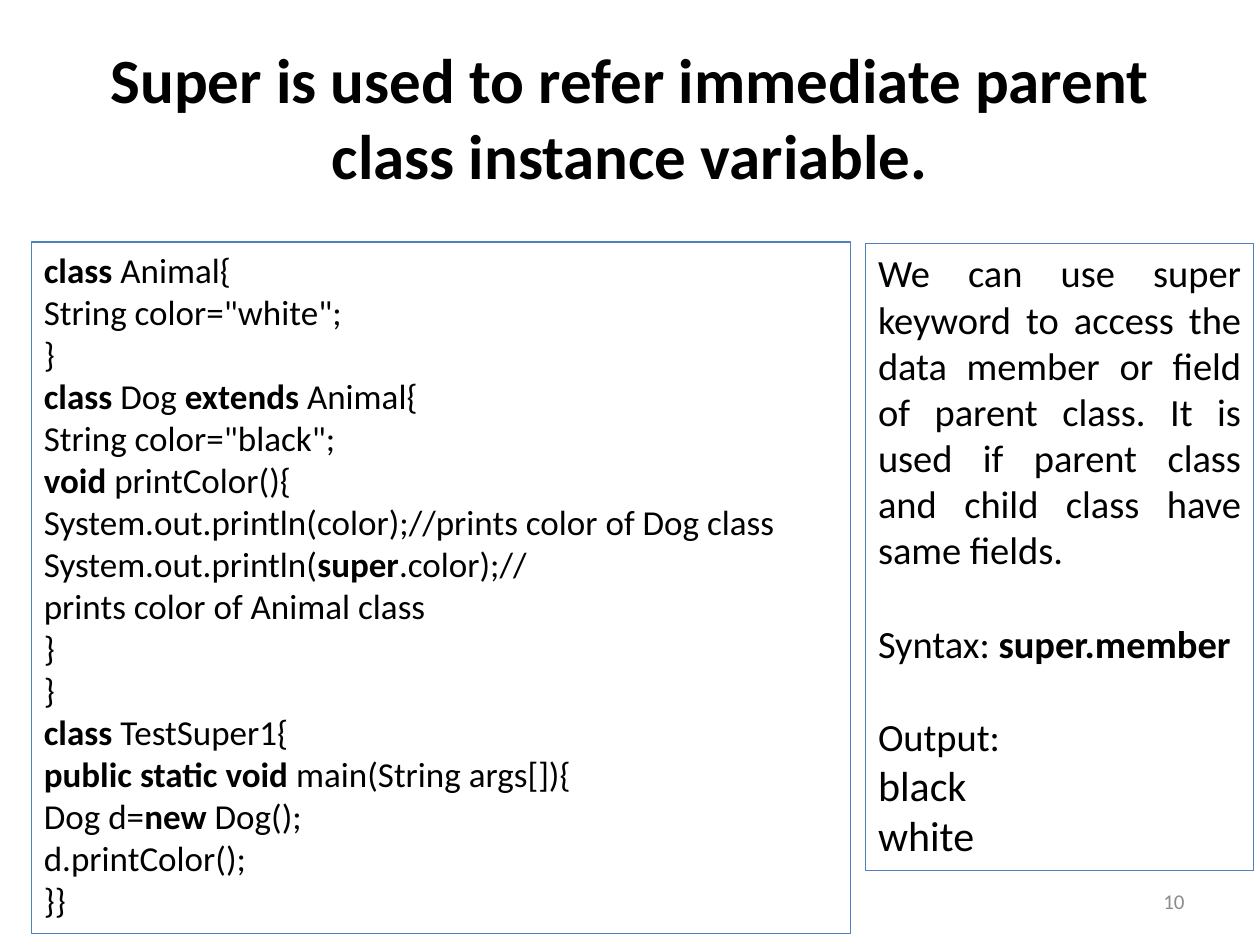
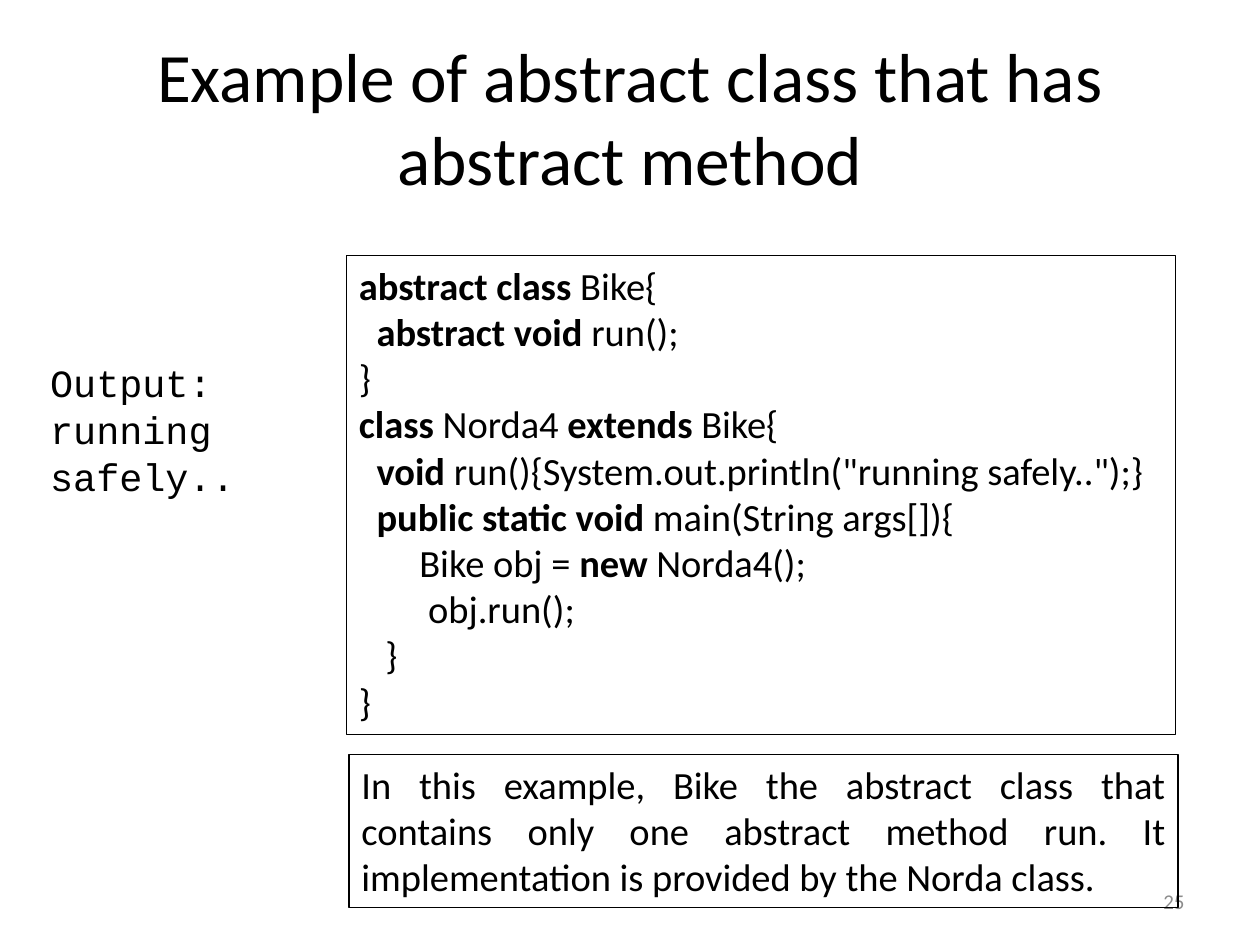
from dataclasses import dataclass

from pptx import Presentation
from pptx.dml.color import RGBColor
from pptx.enum.shapes import MSO_SHAPE
from pptx.enum.text import MSO_ANCHOR, MSO_AUTO_SIZE, PP_ALIGN
from pptx.util import Inches, Pt

RECTANGLE = MSO_SHAPE.RECTANGLE
TOP, MIDDLE = MSO_ANCHOR.TOP, MSO_ANCHOR.MIDDLE
FIT_TEXT, FIXED_SIZE = MSO_AUTO_SIZE.SHAPE_TO_FIT_TEXT, MSO_AUTO_SIZE.NONE
LEFT, CENTER, RIGHT, JUSTIFY = PP_ALIGN.LEFT, PP_ALIGN.CENTER, PP_ALIGN.RIGHT, PP_ALIGN.JUSTIFY


@dataclass(frozen=True)
class Theme:
    ink: RGBColor = RGBColor(0x00, 0x00, 0x00)
    blue: RGBColor = RGBColor(0x4F, 0x81, 0xBD)
    grey: RGBColor = RGBColor(0x8C, 0x8C, 0x8C)
    font: str = "Calibri"
    output_font: str = "Courier New"
    bold_title: float = 36
    title: float = 39.6
    result: float = 24
    body: float = 22
    code: float = 20
    number: float = 12
    body_line: float = 26.9
    border: float = 0.75


THEME = Theme()
TITLE_BOX = (0.5, 0.3, 9, 1.25)
NUMBER_BOX = (7.17, 6.95, 2.33, 0.4)

# In the texts below, ** switches bold on and off and ↵ breaks a line.
SUPER_CODE = """**class** Animal{
String color="white";
}
**class** Dog **extends** Animal{
String color="black";
**void** printColor(){
System.out.println(color);//prints color of Dog class
System.out.println(**super**.color);//↵prints color of Animal class
}
}
**class** TestSuper1{
**public static void** main(String args[]){
Dog d=**new** Dog();
d.printColor();
}}"""

# Each line of code with its indent in inches
ABSTRACT_CODE = [
    (0, "**abstract class** Bike{"),
    (0.14, "**abstract void** run();"),
    (0, "}"),
    (0, "**class** Norda4 **extends** Bike{"),
    (0.14, '**void** run(){System.out.println("running safely..");}'),
    (0.14, "**public static void** main(String args[]){"),
    (0.48, "Bike obj = **new** Norda4();"),
    (0.55, "obj.run();"),
    (0.21, "}"),
    (0, "}"),
]


def apply(target, values):
    for name, value in values.items():
        setattr(target, name, value)


def add_runs(paragraph, text, size, color, font):
    for index, piece in enumerate(text.split("**")):
        for line_index, line in enumerate(piece.split("↵")):
            if line_index:
                paragraph.add_line_break()
            if line:
                run = paragraph.add_run()
                run.text = line
                apply(run.font, {"name": font, "size": Pt(size), "bold": index % 2 == 1})
                run.font.color.rgb = color


def write(shape, lines, size, align=LEFT, anchor=TOP, fit=FIXED_SIZE,
          color=THEME.ink, font=THEME.font):
    """Write lines, each a text or a dict with text, size, indent and paragraph format."""
    frame = shape.text_frame
    apply(frame, {"word_wrap": True, "auto_size": fit, "vertical_anchor": anchor})
    for index, line in enumerate(lines):
        line = line if isinstance(line, dict) else {"text": line}
        paragraph = frame.add_paragraph() if index else frame.paragraphs[0]
        apply(paragraph, {"alignment": align, **line.get("format", {})})
        if line.get("indent"):
            paragraph._p.get_or_add_pPr().set("marL", str(Inches(line["indent"])))
        add_runs(paragraph, line["text"], line.get("size", size), color, font)


def add_text(slide, box, lines, size, **options):
    write(slide.shapes.add_textbox(*map(Inches, box)), lines, size, **options)


def add_panel(slide, box, lines, size, border, align=LEFT):
    panel = slide.shapes.add_shape(RECTANGLE, *map(Inches, box))
    panel.shadow.inherit = False
    panel.fill.background()
    panel.line.color.rgb = border
    panel.line.width = Pt(THEME.border)
    write(panel, lines, size, align, fit=FIT_TEXT)


def add_slide(presentation, title, title_size, number):
    """Blank slide with the shared title and page number."""
    slide = presentation.slides.add_slide(presentation.slide_layouts[6])
    add_text(slide, TITLE_BOX, [title], title_size, align=CENTER, anchor=MIDDLE)
    add_text(slide, NUMBER_BOX, [number], THEME.number, align=RIGHT, anchor=MIDDLE,
             color=THEME.grey)
    return slide


def build_super_slide(presentation):
    slide = add_slide(
        presentation,
        "**Super is used to refer immediate parent class instance variable.**",
        THEME.bold_title, "10")
    # Code
    add_panel(slide, (0.25, 1.92, 6.5, 5.49), SUPER_CODE.splitlines(), THEME.code, THEME.blue)
    # Explanation, syntax and output
    new_block = {"space_before": Pt(THEME.body_line)}
    notes = [
        "We can use super keyword to access the data member or field of parent class. "
        "It is used if parent class and child class have same fields.",
        {"text": "Syntax: **super.member**", "format": new_block},
        {"text": "Output:", "format": new_block},
        *({"text": word, "size": THEME.result} for word in ("black", "white")),
    ]
    add_panel(slide, (6.87, 1.93, 3.08, 4.98), notes, THEME.body, THEME.blue, JUSTIFY)


def build_abstract_slide(presentation):
    slide = add_slide(presentation, "Example of abstract class that has abstract method",
                      THEME.title, "25")
    # Code
    code = [{"text": text, "indent": indent} for indent, text in ABSTRACT_CODE]
    add_panel(slide, (2.75, 2.03, 6.58, 3.8), code, THEME.body, THEME.ink)
    # Explanation
    add_panel(slide, (2.77, 5.99, 6.58, 1.21),
              ["In this example, Bike the abstract class that contains only one abstract "
               "method run. It implementation is provided by the Norda class."],
              THEME.body, THEME.ink, JUSTIFY)
    # Program output
    spacing = {"line_spacing": Pt(THEME.body_line)}
    output = [{"text": text, "format": spacing} for text in ("Output:", "running safely..")]
    add_text(slide, (0.3, 2.98, 2.38, 0.84), output, THEME.body, align=JUSTIFY,
             anchor=MIDDLE, font=THEME.output_font)


def main():
    presentation = Presentation()
    apply(presentation, {"slide_width": Inches(10), "slide_height": Inches(7.5)})
    build_super_slide(presentation)
    build_abstract_slide(presentation)
    presentation.save("out.pptx")


if __name__ == "__main__":
    main()
